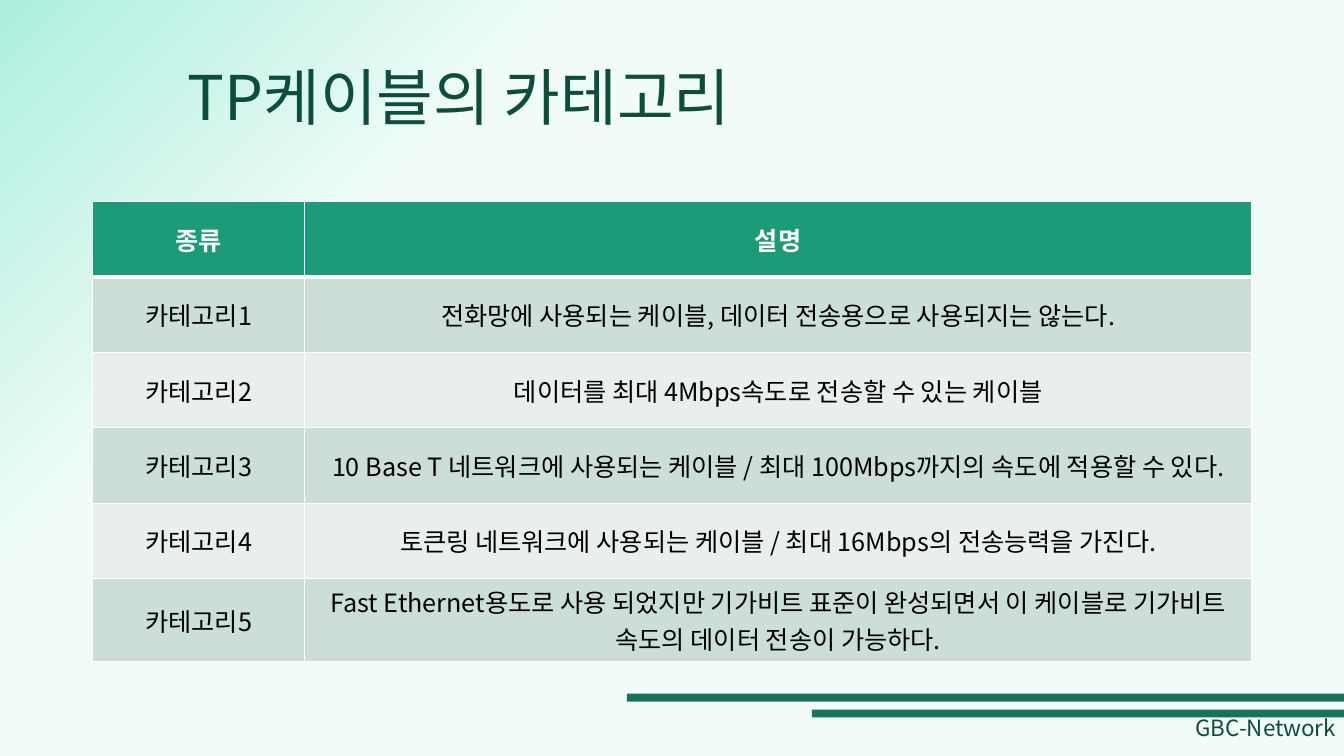
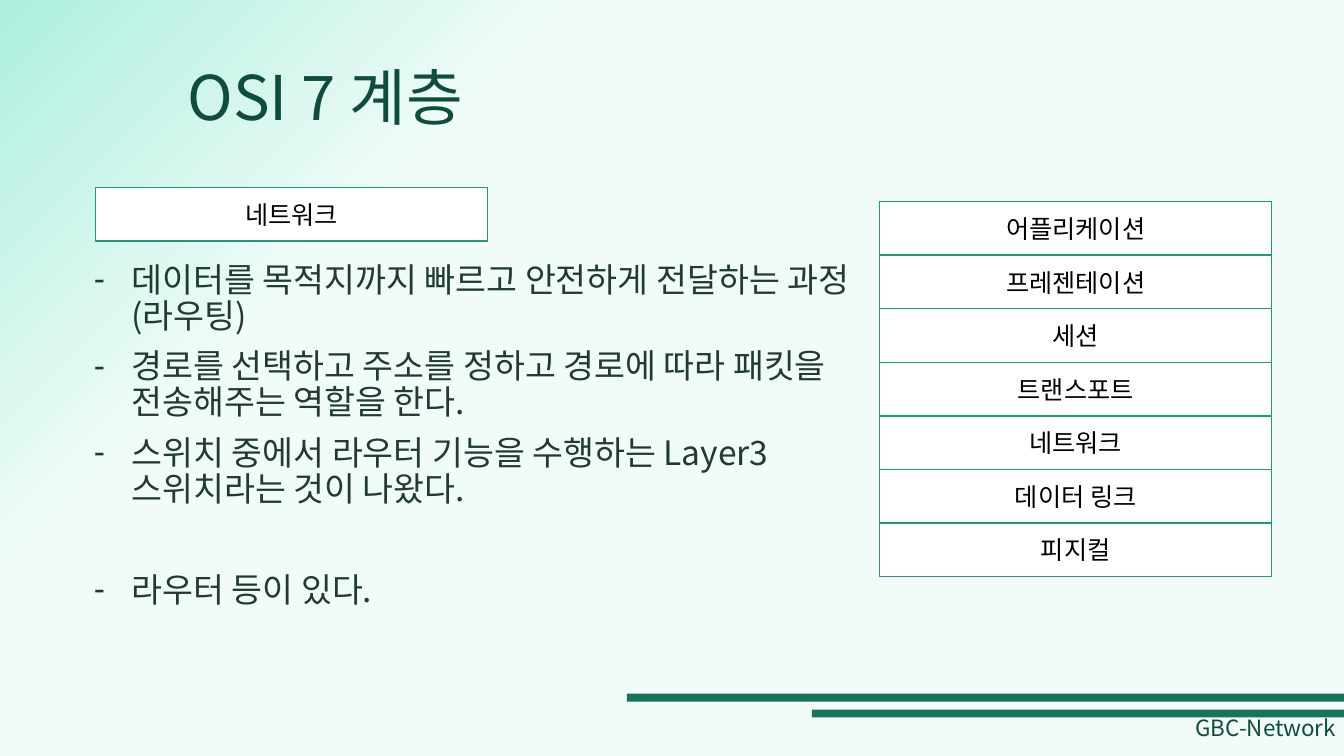
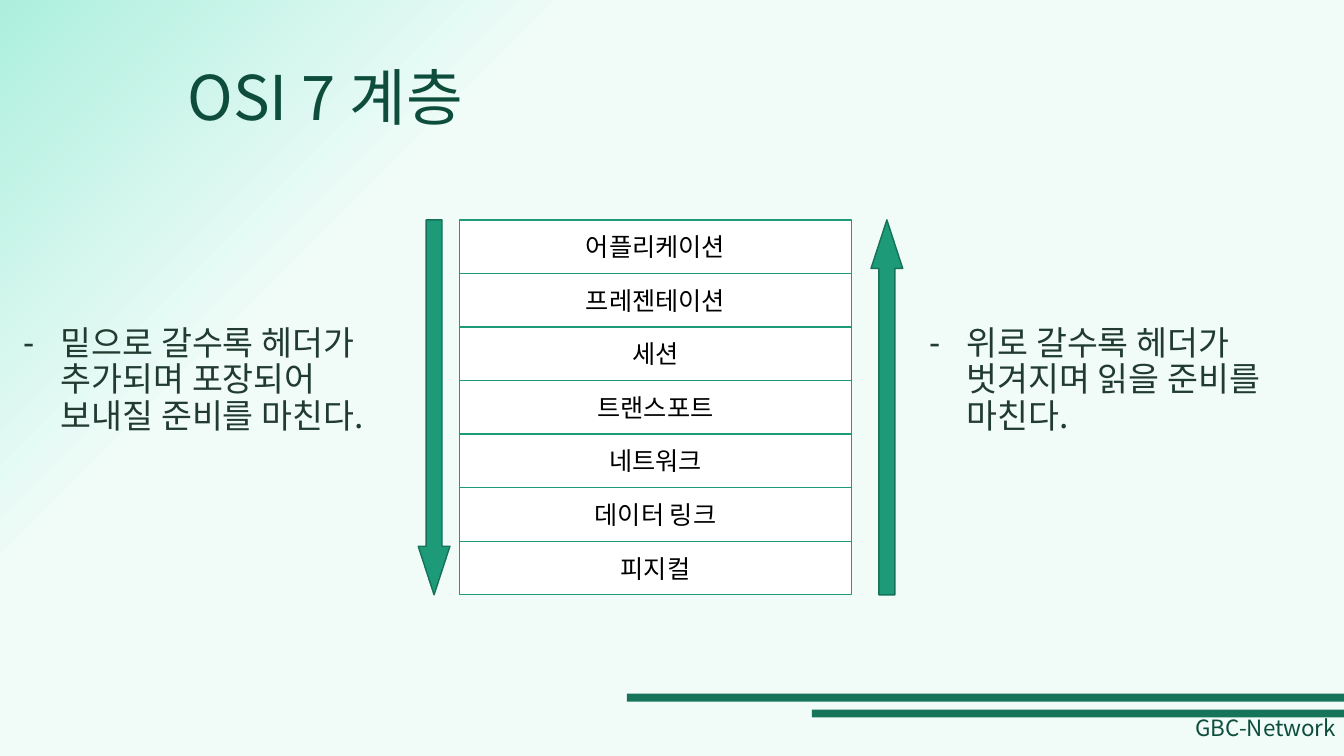
"""Build three slides on TP cable categories and the OSI layers."""
import pptx
import pptx.dml.color
import pptx.enum.shapes
import pptx.enum.text
import pptx.oxml
import pptx.oxml.ns
import pptx.util
from lxml import etree
from pptx.util import Cm

FONT = "Noto Sans CJK KR"
WIDTH, HEIGHT = 33.87, 19.05
WHITE, BLACK = "FFFFFF", "000000"
GREEN, EDGE, BAND = "1D9A78", "157259", "16745A"
TITLE, BODY = "0E4D3C", "213B31"
STRIPES = ["E8EFEC", "CDDED6"]
LAYER_WIDTH, LAYER_HEIGHT = 9.88, 1.35
LAYERS = ["어플리케이션", "프레젠테이션", "세션", "트랜스포트", "네트워크", "데이터 링크", "피지컬"]
CATEGORIES = [
    ("종류", "설명"),
    ("카테고리1", "전화망에 사용되는 케이블, 데이터 전송용으로 사용되지는 않는다."),
    ("카테고리2", "데이터를 최대 4Mbps속도로 전송할 수 있는 케이블"),
    ("카테고리3", "10 Base T 네트워크에 사용되는 케이블 / 최대 100Mbps까지의 속도에 적용할 수 있다."),
    ("카테고리4", "토큰링 네트워크에 사용되는 케이블 / 최대 16Mbps의 전송능력을 가진다."),
    ("카테고리5", "Fast Ethernet용도로 사용 되었지만 기가비트 표준이 완성되면서 "
                "이 케이블로 기가비트 속도의 데이터 전송이 가능하다."),
]
ROUTING = [
    "데이터를 목적지까지 빠르고 안전하게 전달하는 과정(라우팅)",
    "경로를 선택하고 주소를 정하고 경로에 따라 패킷을 전송해주는 역할을 한다.",
    "스위치 중에서 라우터 기능을 수행하는 Layer3 스위치라는 것이 나왔다.",
    "라우터 등이 있다.",
]
ALIGN = pptx.enum.text.PP_ALIGN
SHAPE = pptx.enum.shapes.MSO_SHAPE


def rgb(value):
    return pptx.dml.color.RGBColor.from_string(value)


def add_child(parent, tag, **attributes):
    return etree.SubElement(parent, pptx.oxml.ns.qn(tag), attributes)


def write(para, text, size, color, align=ALIGN.LEFT, bold=False):
    para.alignment = align
    span = para.add_run()
    span.text = text
    span.font.size = pptx.util.Pt(size)
    span.font.name = FONT
    span.font.bold = bold
    span.font.color.rgb = rgb(color)
    add_child(span.font._element, "a:ea", typeface=FONT)


def place(shape, left, top, width, height):
    shape.left, shape.top = Cm(left), Cm(top)
    shape.width, shape.height = Cm(width), Cm(height)


def add_box(shapes, kind, frame, fill, line=None):
    box = shapes.add_shape(kind, *map(Cm, frame))
    box.shadow.inherit = False
    box.fill.solid()
    box.fill.fore_color.rgb = rgb(fill)
    if line:
        box.line.color.rgb = rgb(line)
        box.line.width = pptx.util.Pt(1)
    else:
        box.line.fill.background()
    return box


def add_layers(shapes, names, left, top):
    for row, name in enumerate(names):
        frame = (left, top + row * LAYER_HEIGHT, LAYER_WIDTH, LAYER_HEIGHT)
        box = add_box(shapes, SHAPE.RECTANGLE, frame, WHITE, GREEN)
        box.text_frame.vertical_anchor = pptx.enum.text.MSO_ANCHOR.MIDDLE
        write(box.text_frame.paragraphs[0], name, 18, BLACK, ALIGN.CENTER)


def add_arrow(shapes, left, rotation):
    arrow = add_box(shapes, SHAPE.DOWN_ARROW, (left, 5.54, 0.8, 9.45), GREEN, EDGE)
    arrow.adjustments[0], arrow.adjustments[1] = 0.5, 1.53
    arrow.rotation = rotation


def add_page(deck, layout, title):
    page = deck.slides.add_slide(deck.slide_layouts.get_by_name(layout))
    place(page.shapes.title, 4.47, 0.69, 27.58, 3.68)
    frame = page.shapes.title.text_frame
    frame.vertical_anchor = pptx.enum.text.MSO_ANCHOR.MIDDLE
    frame.paragraphs[0].line_spacing = 0.9
    write(frame.paragraphs[0], title, 44, TITLE)
    return page


def fill_list(body, frame, items, gaps=None):
    place(body, *frame)
    for index, item in enumerate(items):
        para = body.text_frame.paragraphs[0] if index == 0 else body.text_frame.add_paragraph()
        para.line_spacing = 0.9
        para.space_before = pptx.util.Pt((gaps or {}).get(index, 10))
        write(para, item, 24, BODY)
        properties = para._p.get_or_add_pPr()
        properties.set("marL", str(Cm(0.95)))
        properties.set("indent", str(-Cm(0.95)))
        add_child(properties, "a:buChar", char="-")


def set_borders(cell, row):
    widths = {"L": 1, "R": 1, "T": 3 if row == 1 else 1, "B": 3 if row == 0 else 1}
    properties = cell._tc.get_or_add_tcPr()
    for index, (side, width) in enumerate(widths.items()):
        line = add_child(properties, "a:ln" + side, w=str(pptx.util.Pt(width)))
        add_child(add_child(line, "a:solidFill"), "a:srgbClr", val=WHITE)
        properties.insert(index, line)


def add_grid(page, rows, left, top, widths, row_height):
    frame = page.shapes.add_table(len(rows), len(widths), Cm(left), Cm(top),
                                  Cm(sum(widths)), Cm(row_height * len(rows)))
    grid = frame.table
    for column, width in zip(grid.columns, widths):
        column.width = Cm(width)
    for row, texts in enumerate(rows):
        grid.rows[row].height = Cm(row_height)
        header = row == 0
        for column, text in enumerate(texts):
            cell = grid.cell(row, column)
            cell.vertical_anchor = pptx.enum.text.MSO_ANCHOR.MIDDLE
            cell.fill.solid()
            cell.fill.fore_color.rgb = rgb(GREEN if header else STRIPES[row % 2])
            set_borders(cell, row)
            write(cell.text_frame.paragraphs[0], text, 18,
                  WHITE if header else BLACK, ALIGN.CENTER, header)


def style_master(deck, page):
    """Give the master its background, bands and footer, drawn first on a page."""
    master = deck.slide_master
    fill = master.background.fill
    fill.gradient()
    fill.gradient_angle = 135
    for stop, position, color in zip(fill.gradient_stops, (0.72, 1), ("F1FCF9", "ACEFDD")):
        stop.position = position
        stop.color.rgb = rgb(color)
    parts = [add_box(page.shapes, SHAPE.RECTANGLE, (WIDTH - width, top, width, 0.2), BAND)
             for width, top in ((13.41, 17.88), (18.07, 17.48))]
    footer = page.shapes.add_textbox(Cm(28.09), Cm(17.96), Cm(7.62), Cm(2.26))
    footer.text_frame.word_wrap = True
    para = footer.text_frame.paragraphs[0]
    para.line_spacing = 0.9
    para.space_before = pptx.util.Pt(10)
    write(para, "GBC-Network", 16, TITLE, ALIGN.CENTER)
    for index, part in enumerate(parts + [footer]):
        part.element.nvSpPr.cNvPr.set("id", str(101 + index))
        master.shapes.element.insert(2 + index, part.element)


def main():
    deck = pptx.Presentation()
    deck.slide_width, deck.slide_height = Cm(WIDTH), Cm(HEIGHT)

    page = add_page(deck, "Title Only", "TP케이블의 카테고리")
    style_master(deck, page)
    add_grid(page, CATEGORIES, 2.34, 5.08, (5.33, 23.88), 1.9)

    page = add_page(deck, "Title and Content", "OSI 7 계층")
    fill_list(page.placeholders[1], (2.11, 6.5, 19.76, 9.47), ROUTING, {3: 46})
    add_layers(page.shapes, LAYERS, 22.17, 5.08)
    add_layers(page.shapes, ["네트워크"], 2.41, 4.72)

    page = add_page(deck, "Two Content", "OSI 7 계층")
    fill_list(page.placeholders[1], (0.33, 8.1, 10.31, 6.76),
              ["밑으로 갈수록 헤더가 추가되며 포장되어 보내질 준비를 마친다."])
    add_layers(page.shapes.add_group_shape().shapes, LAYERS, 11.58, 5.54)
    add_arrow(page.shapes, 10.54, 0)
    add_arrow(page.shapes, 21.95, 180)
    fill_list(page.placeholders[2], (23.16, 8.1, 10.31, 6.76),
              ["위로 갈수록 헤더가 벗겨지며 읽을 준비를 마친다."])

    deck.save("out.pptx")


main()
